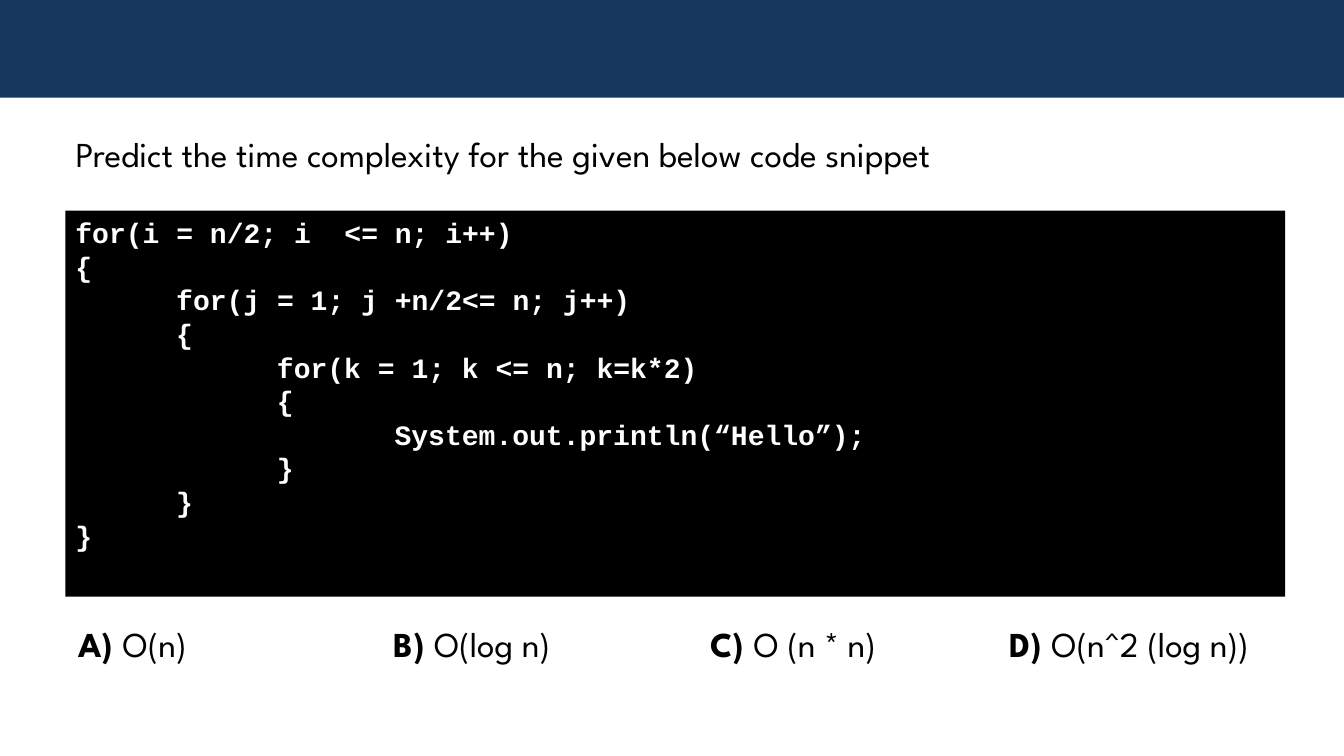
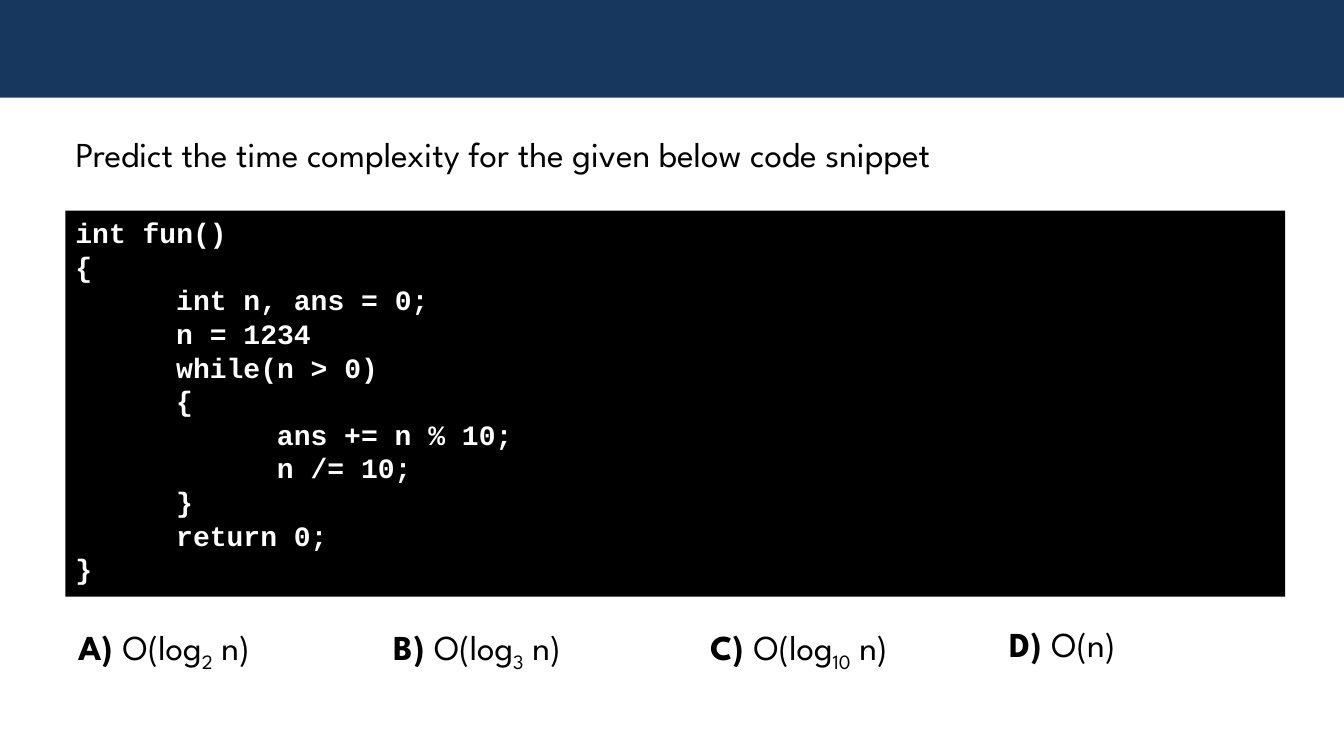
from dataclasses import dataclass

from lxml import etree
from pptx import Presentation
from pptx.dml.color import RGBColor
from pptx.enum import shapes, text
from pptx.oxml.ns import qn
from pptx.util import Inches, Pt


@dataclass(frozen=True)
class Theme:
    band: RGBColor = RGBColor(0x17, 0x37, 0x5E)
    ink: RGBColor = RGBColor(0, 0, 0)
    paper: RGBColor = RGBColor(255, 255, 255)
    body_font: str = "League Spartan"
    code_font: str = "Courier New"
    body_size: Pt = Pt(25)
    code_size: Pt = Pt(20)
    code_pitch: Pt = Pt(24)


SLIDE_WIDTH, SLIDE_HEIGHT = 40 / 3, 7.5
QUESTION = "Predict the time complexity for the given below code snippet"
OPTION_COLUMNS = ((0.68, 2.55), (3.81, 2.55), (6.95, 2.55), (9.92, 2.92))

NESTED_LOOPS = """for(i = n/2; i  <= n; i++)
{
\tfor(j = 1; j +n/2<= n; j++)
\t{
\t\tfor(k = 1; k <= n; k=k*2)
\t\t{
\t\t\t System.out.println(“Hello”);
\t\t}
\t}
}"""

DIGIT_SUM = """int fun()
{
\tint n, ans = 0;
\tn = 1234
\twhile(n > 0)
\t{
\t\tans += n % 10;
\t\tn /= 10;
\t}
\treturn 0;
}"""

# Within an option, every second part is a subscript.
QUIZZES = (
    (NESTED_LOOPS, (("O(n)",), ("O(log n)",), ("O (n * n)",), ("O(n^2 (log n))",))),
    (DIGIT_SUM, (("O(log", "2", " n)"), ("O(log", "3", " n)"),
                 ("O(log", "10", " n)"), ("O(n)",))),
)


def set_inch_tabs(p, count=3):
    """Put a left tab stop at each of the first inches; call after line spacing."""
    tabs = etree.SubElement(p._p.get_or_add_pPr(), qn("a:tabLst"))
    for inch in range(1, count + 1):
        etree.SubElement(tabs, qn("a:tab"), pos=str(Inches(inch)), algn="l")


class QuizDeck:
    def __init__(self, theme):
        self.theme = theme
        self.prs = Presentation()
        self.prs.slide_width = Inches(SLIDE_WIDTH)
        self.prs.slide_height = Inches(SLIDE_HEIGHT)
        self.s = None

    def new_slide(self):
        self.s = self.prs.slides.add_slide(self.prs.slide_layouts[5])
        self.rect(0, 0, SLIDE_WIDTH, 0.97, self.theme.band)

    def rect(self, x, y, w, h, color):
        sp = self.s.shapes.add_shape(shapes.MSO_SHAPE.RECTANGLE,
                                     Inches(x), Inches(y), Inches(w), Inches(h))
        sp.shadow.inherit = False
        sp.fill.solid()
        sp.fill.fore_color.rgb = color
        sp.line.fill.background()
        return sp

    def style(self, r, font, size, color, bold=False):
        r.font.name, r.font.size, r.font.bold = font, size, bold
        r.font.color.rgb = color

    def body_style(self, r, bold=False):
        self.style(r, self.theme.body_font, self.theme.body_size, self.theme.ink, bold)

    def title(self, words):
        sp = self.s.shapes.title
        sp.left, sp.top = Inches(0.65), Inches(1.26)
        sp.width, sp.height = Inches(11.98), Inches(0.52)
        tf = sp.text_frame
        tf.text = words
        tf.vertical_anchor = text.MSO_ANCHOR.TOP
        tf.auto_size = text.MSO_AUTO_SIZE.SHAPE_TO_FIT_TEXT
        p = tf.paragraphs[0]
        p.alignment = text.PP_ALIGN.LEFT
        self.body_style(p.runs[0])

    def code(self, listing):
        t = self.theme
        tf = self.rect(0.65, 2.09, 12.1, 3.83, t.ink).text_frame
        tf.vertical_anchor = text.MSO_ANCHOR.TOP
        tf.text = listing
        for p in tf.paragraphs:
            p.alignment = text.PP_ALIGN.LEFT
            p.line_spacing = t.code_pitch
            set_inch_tabs(p)
            for r in p.runs:
                self.style(r, t.code_font, t.code_size, t.paper, bold=True)

    def option(self, x, w, letter, parts):
        sp = self.s.shapes.add_textbox(Inches(x), Inches(5.92), Inches(w), Inches(0.68))
        tf = sp.text_frame
        tf.word_wrap = True
        tf.auto_size = text.MSO_AUTO_SIZE.SHAPE_TO_FIT_TEXT
        p = tf.paragraphs[0]
        p.line_spacing = 1.5
        r = p.add_run()
        r.text = f"{letter}) "
        self.body_style(r, bold=True)
        for i, part in enumerate(parts):
            r = p.add_run()
            r.text = part
            self.body_style(r)
            if i % 2:
                r.font._element.set("baseline", "-25000")

    def options(self, answers):
        for (x, w), letter, parts in zip(OPTION_COLUMNS, "ABCD", answers):
            self.option(x, w, letter, parts)


def main():
    deck = QuizDeck(Theme())
    for listing, answers in QUIZZES:
        deck.new_slide()
        deck.title(QUESTION)
        deck.code(listing)
        deck.options(answers)
    deck.prs.save("out.pptx")


if __name__ == "__main__":
    main()
